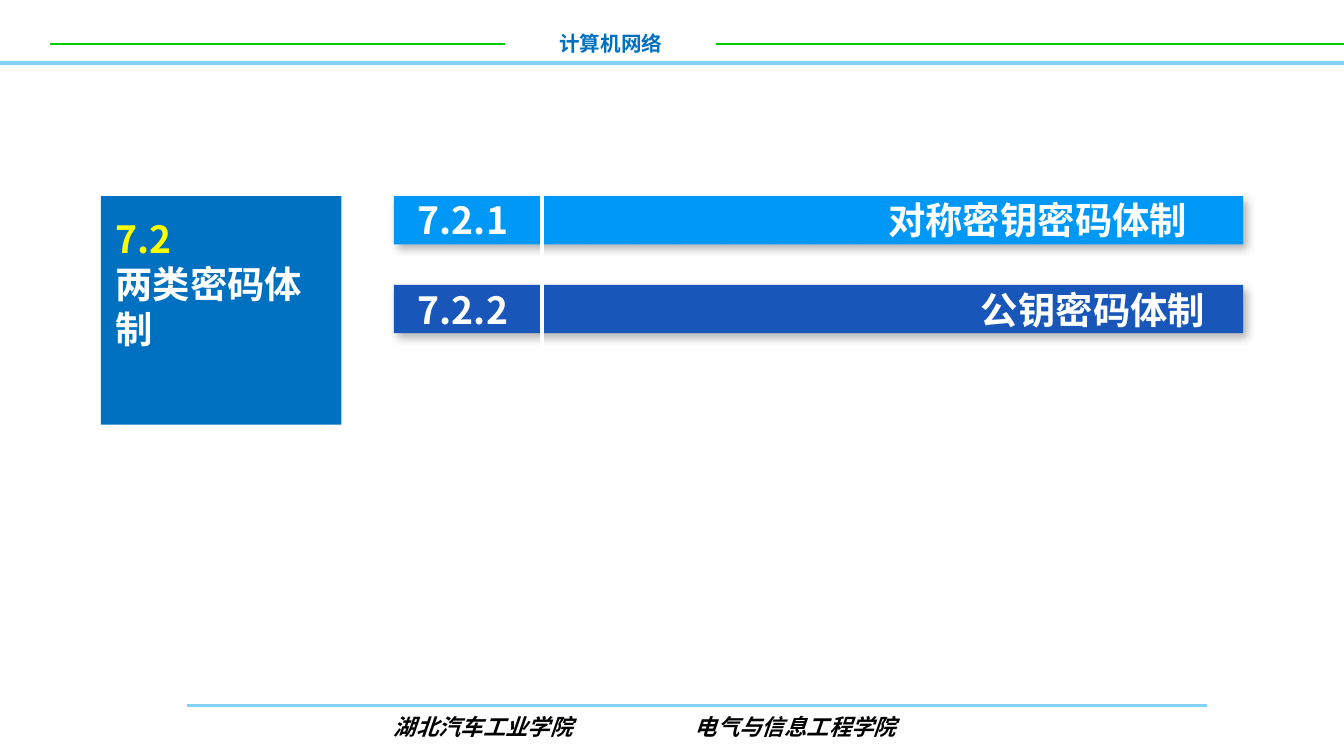
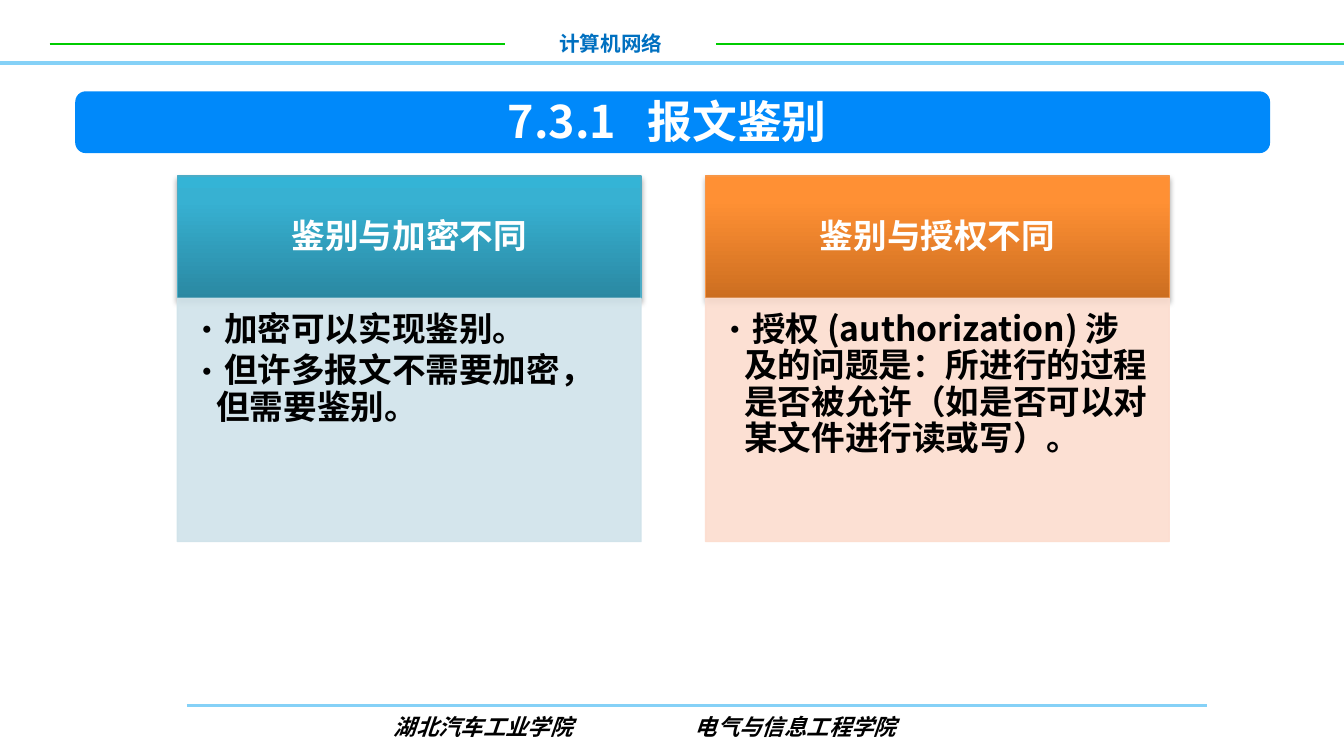
"""Builds two slides on cipher systems and message authentication."""
from lxml import etree
from pptx import Presentation
from pptx.dml.color import RGBColor
from pptx.enum.shapes import MSO_CONNECTOR, MSO_SHAPE
from pptx.enum.text import MSO_ANCHOR, PP_ALIGN
from pptx.oxml import parse_xml
from pptx.oxml.ns import qn
from pptx.util import Pt

RECT, ROUNDED = MSO_SHAPE.RECTANGLE, MSO_SHAPE.ROUNDED_RECTANGLE
STRAIGHT = MSO_CONNECTOR.STRAIGHT
TOP, MIDDLE = MSO_ANCHOR.TOP, MSO_ANCHOR.MIDDLE
LEFT, CENTER = PP_ALIGN.LEFT, PP_ALIGN.CENTER
NS = 'xmlns:a="http://schemas.openxmlformats.org/drawingml/2006/main"'
PX = 9144
FONT = "Noto Sans CJK SC"
WHITE, BLACK, BLUE, SKY, GREEN = "FFFFFF", "000000", "0070C0", "85D1F7", "00CC00"
rgb = RGBColor.from_string


def add_line(s, x1, y1, x2, y2, color, width):
    ln = s.shapes.add_connector(STRAIGHT, x1 * PX, y1 * PX, x2 * PX, y2 * PX)
    ln.line.color.rgb = rgb(color)
    ln.line.width = Pt(width)
    etree.SubElement(ln._element.spPr, qn("a:effectLst"))


def add_box(s, x, y, w, h, fill=None, border=None, shadow=None, preset=RECT, paras=(),
            size=20, font=FONT, italic=False, align=LEFT, anchor=TOP,
            inset=(10, 5, 10, 5), tab=None):
    sp = s.shapes.add_shape(preset, x * PX, y * PX, w * PX, h * PX)
    sp.shadow.inherit = False
    if fill:
        sp.fill.solid()
        sp.fill.fore_color.rgb = rgb(fill)
    else:
        sp.fill.background()
    if border:
        sp.line.color.rgb = rgb(border)
        sp.line.width = Pt(0.75)
    else:
        sp.line.fill.background()
    if shadow:
        alpha, blur, dist, angle = shadow
        sp._element.spPr.find(qn("a:effectLst")).append(parse_xml(
            f'<a:outerShdw {NS} blurRad="{Pt(blur)}" dist="{Pt(dist)}" dir="{angle * 60000}" '
            f'algn="t" rotWithShape="0"><a:srgbClr val="{BLACK}">'
            f'<a:alpha val="{alpha * 1000}"/></a:srgbClr></a:outerShdw>'))
    tf = sp.text_frame
    tf.word_wrap = True
    tf.vertical_anchor = anchor
    tf.margin_left, tf.margin_top, tf.margin_right, tf.margin_bottom = [i * PX for i in inset]
    for i, (text, color) in enumerate(paras):
        p = tf.add_paragraph() if i else tf.paragraphs[0]
        p.alignment = align
        p.line_spacing = Pt(round(size * 1.2, 1))
        if tab:
            tabs = etree.SubElement(p._p.get_or_add_pPr(), qn("a:tabLst"))
            etree.SubElement(tabs, qn("a:tab"), pos=str(tab * PX), algn="l")
        r = p.add_run()
        r.text = text
        r.font.size, r.font.name = Pt(size), font
        r.font.bold, r.font.italic = True, italic
        r.font.color.rgb = rgb(color)
        etree.SubElement(r._r.rPr, qn("a:ea"), typeface=FONT)
    return sp


prs = Presentation()
prs.slide_width = 1000 * PX
prs.slide_height = prs.slide_width * 9 // 16
for _ in range(2):
    s = prs.slides.add_slide(prs.slide_layouts[6])
    add_line(s, 139, 525, 898, 525, SKY, 1.5)
    add_line(s, 0, 47, 1000, 47, SKY, 2)
    add_box(s, 376, 18, 157, 29, paras=[("计算机网络", BLUE)], size=11, align=CENTER)
    add_box(s, 102, 526, 756, 30, paras=[("湖北汽车工业学院\t电气与信息工程学院", BLACK)],
            size=12, font="Arial", italic=True, inset=(191, 5, 10, 5), tab=224)
    add_line(s, 533, 33, 1000, 33, GREEN, 1)
    add_line(s, 37, 33, 376, 33, GREEN, 1)

s = prs.slides[0]
sections = [("7.2.1\t对称密钥密码体制", "0098F6", 350), ("7.2.2\t公钥密码体制", "1956B9", 419)]
for i, (text, color, tab) in enumerate(sections):
    add_box(s, 293, 146 + 66 * i, 632, 36, color, shadow=(30, 4.5, 2.6, 53))
add_line(s, 403, 131, 403, 286, WHITE, 2.25)
for i, (text, color, tab) in enumerate(sections):
    add_box(s, 301, 142 + 67 * i, 612, 43, paras=[(text, WHITE)], tab=tab)
add_box(s, 75, 146, 179, 170, BLUE)
add_box(s, 76, 156, 178, 111, paras=[("7.2", "FFFF00"), ("两类密码体制", WHITE)])
add_line(s, 403, 252, 403, 267, WHITE, 2.25)

s = prs.slides[1]
sp = add_box(s, 56, 68, 889, 46, "0089FA", preset=ROUNDED)
sp.adjustments[0] = 0.17
add_box(s, 368, 65, 266, 50, paras=[("7.3.1\t报文鉴别", WHITE)], size=24, tab=104)

cards = [
    ("鉴别与加密不同", ("2A88A2", "37B1D2", "34B4D6"), "4BACC6", "D0E3EA",
     ["加密可以实现鉴别。", "但许多报文不需要加密，但需要鉴别。"]),
    ("鉴别与授权不同", ("CC6E20", "FF9034", "FF9136"), "F79646", "FCDDCF",
     ["授权 (authorization) 涉及的问题是：所进行的过程是否被允许（如是否可以对某文件进行读或写）。"]),
]
for i, (head, stops, border, tint, points) in enumerate(cards):
    x = 132 + 393 * i
    sp = add_box(s, x, 131, 345, 91, border=border, shadow=(35, 3.1, 1.8, 90),
                 paras=[(head, WHITE)], size=18, align=CENTER, anchor=MIDDLE,
                 inset=(14, 8, 14, 11))
    gs = "".join(f'<a:gs pos="{pos}"><a:srgbClr val="{c}"/></a:gs>'
                 for pos, c in zip((0, 80000, 100000), stops))
    spPr = sp._element.spPr
    spPr.replace(spPr.find(qn("a:noFill")), parse_xml(
        f'<a:gradFill {NS} rotWithShape="1"><a:gsLst>{gs}</a:gsLst>'
        '<a:lin ang="16200000" scaled="0"/></a:gradFill>'))

    sp = add_box(s, x, 222, 345, 181, tint, border=tint, paras=[(t, BLACK) for t in points],
                 size=18, inset=(10, 10, 14, 16))
    for c in sp._element.spPr.iter(qn("a:srgbClr")):
        etree.SubElement(c, qn("a:alpha"), val="90000")
    for p in sp.text_frame.paragraphs:
        p.line_spacing, p.space_after = Pt(19.5), Pt(2.7)
        pPr = p._p.get_or_add_pPr()
        pPr.set("marL", str(19 * PX))
        pPr.set("indent", str(-19 * PX))
        etree.SubElement(pPr, qn("a:buFont"), typeface=FONT)
        etree.SubElement(pPr, qn("a:buChar"), char="•")

prs.save("out.pptx")
